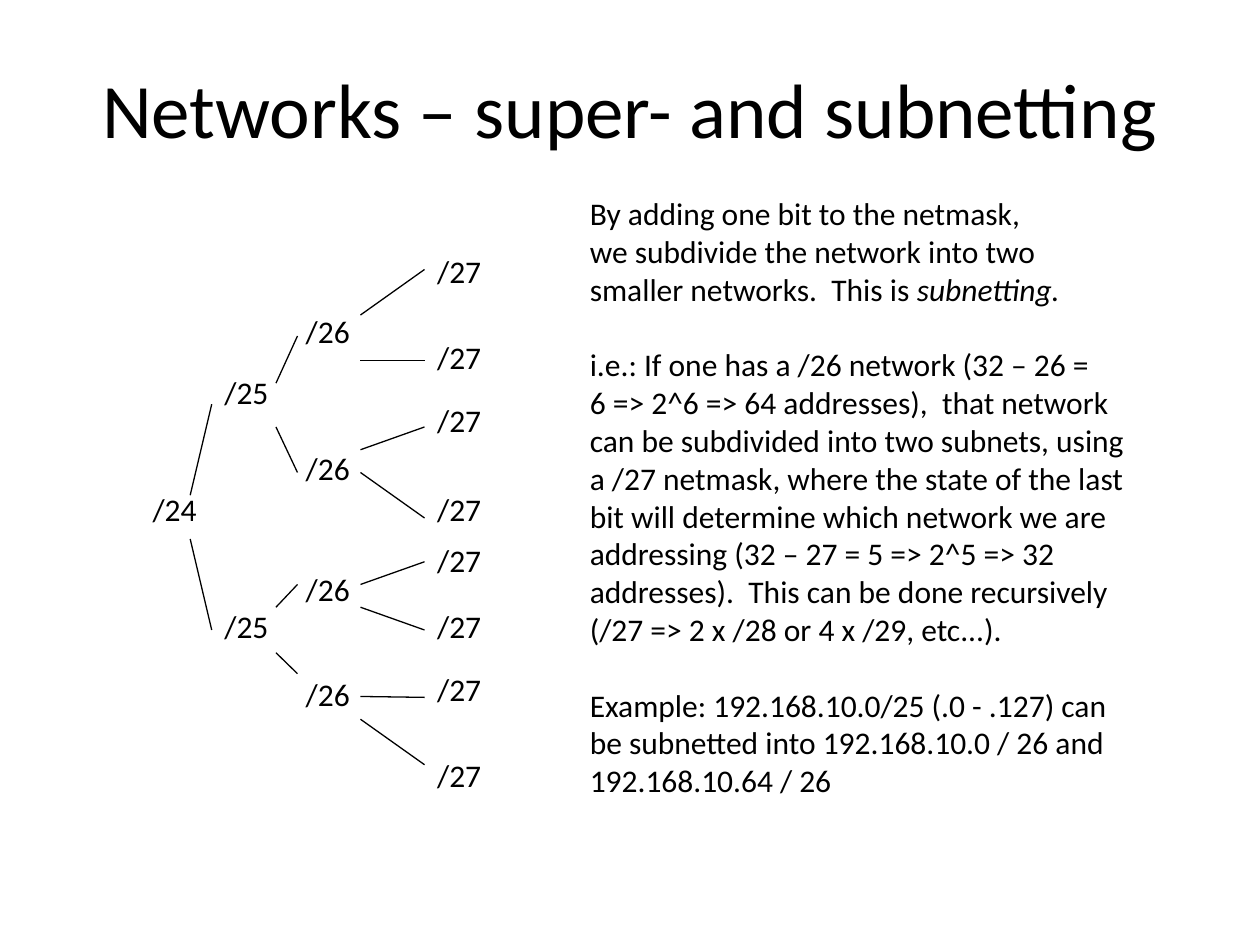
from pptx import Presentation
from pptx.dml.color import RGBColor
from pptx.enum import shapes, text
from pptx.oxml.ns import qn
from pptx.util import Pt
from lxml import etree

BLACK = RGBColor(0x00, 0x00, 0x00)
FONT = "Calibri"

deck = Presentation()
deck.slide_width, deck.slide_height = Pt(720), Pt(540)
slide = deck.slides.add_slide(deck.slide_layouts[6])


def add_text(left, top, width, height, paragraphs, size=18, wrap=False):
    box = slide.shapes.add_textbox(Pt(left), Pt(top), Pt(width), Pt(height))
    frame = box.text_frame
    frame.word_wrap = wrap
    frame.margin_left = frame.margin_right = 0
    frame.margin_top = frame.margin_bottom = 0
    for index, content in enumerate(paragraphs):
        paragraph = frame.add_paragraph() if index else frame.paragraphs[0]
        paragraph.text = content
        paragraph.font.size = Pt(size)
        paragraph.font.name = FONT
        paragraph.font.color.rgb = BLACK
    return frame


# Title
title = add_text(24.5, 21, 671, 81, ["Networks – super- and subnetting"], size=44, wrap=True)
title.vertical_anchor = text.MSO_ANCHOR.MIDDLE
title.paragraphs[0].alignment = text.PP_ALIGN.CENTER

# Prefix lengths: label, left edge, tops of the labels
levels = [
    ("/24", 87.2, [280]),
    ("/25", 128.2, [213, 347]),
    ("/26", 174.7, [178.5, 256.5, 325.5, 386]),
    ("/27", 249.8, [144, 193, 229, 280, 309, 347, 383, 432]),
]
for prefix, left, tops in levels:
    for top in tops:
        add_text(left, top, 26, 26.5, [prefix])

# Branches between levels: start x, end x, (start y, end y) of each
branches = [
    (108.7, 121, [(283, 231), (308, 360)]),
    (157.7, 170, [(219, 192), (244, 270), (347, 334), (373, 385)]),
    (206, 242.6, [(180, 154), (206, 206), (257, 244), (270, 296),
                  (334, 321), (347, 360), (398, 398.5), (411, 437)]),
]
for start_x, end_x, heights in branches:
    for start_y, end_y in heights:
        branch = slide.shapes.add_connector(
            shapes.MSO_CONNECTOR.STRAIGHT, Pt(start_x), Pt(start_y), Pt(end_x), Pt(end_y))
        branch.line.color.rgb = BLACK
        branch.line.width = Pt(0.75)
        etree.SubElement(branch.element.spPr, qn("a:effectLst"))

# Explanation, with its line breaks
explanation = add_text(337, 111, 342, 421, [
    "\v".join([
        "By adding one bit to the netmask,",
        "we subdivide the network into two",
        "smaller networks.  This is ",
    ]),
    "\v".join([
        "i.e.: If one has a /26 network (32 – 26 =",
        "6 => 2^6 => 64 addresses),  that network",
        "can be subdivided into two subnets, using",
        "a /27 netmask, where the state of the last",
        "bit will determine which network we are",
        "addressing (32 – 27 = 5 => 2^5 => 32",
        "addresses).  This can be done recursively",
        "(/27 => 2 x /28 or 4 x /29, etc...).",
    ]),
    "\v".join([
        "Example: 192.168.10.0/25 (.0 - .127) can",
        "be subnetted into 192.168.10.0 / 26 and",
        "192.168.10.64 / 26",
    ]),
])
term = explanation.paragraphs[0].add_run()
term.text = "subnetting."
term.font.italic = True
for index, paragraph in enumerate(explanation.paragraphs):
    paragraph.line_spacing = Pt(21.6)
    paragraph.space_before = Pt(21.6 if index else 0)

deck.save("out.pptx")
